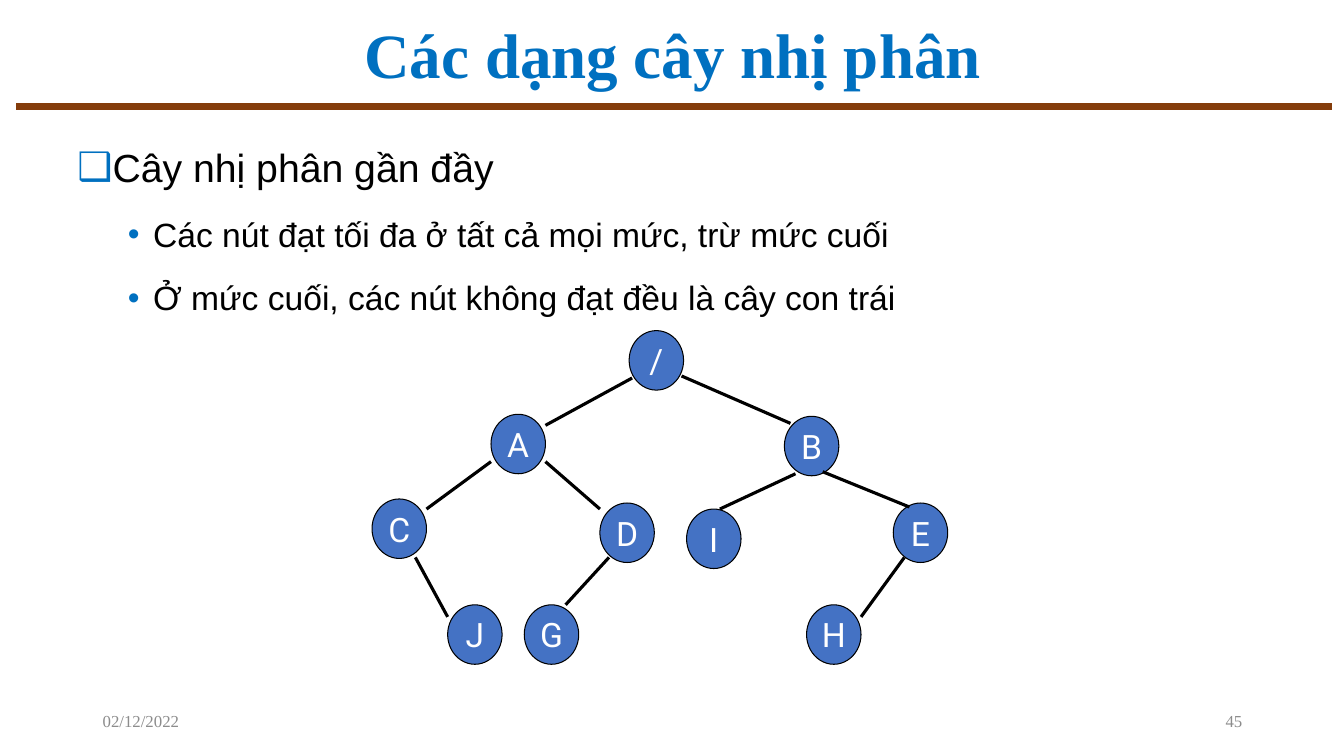
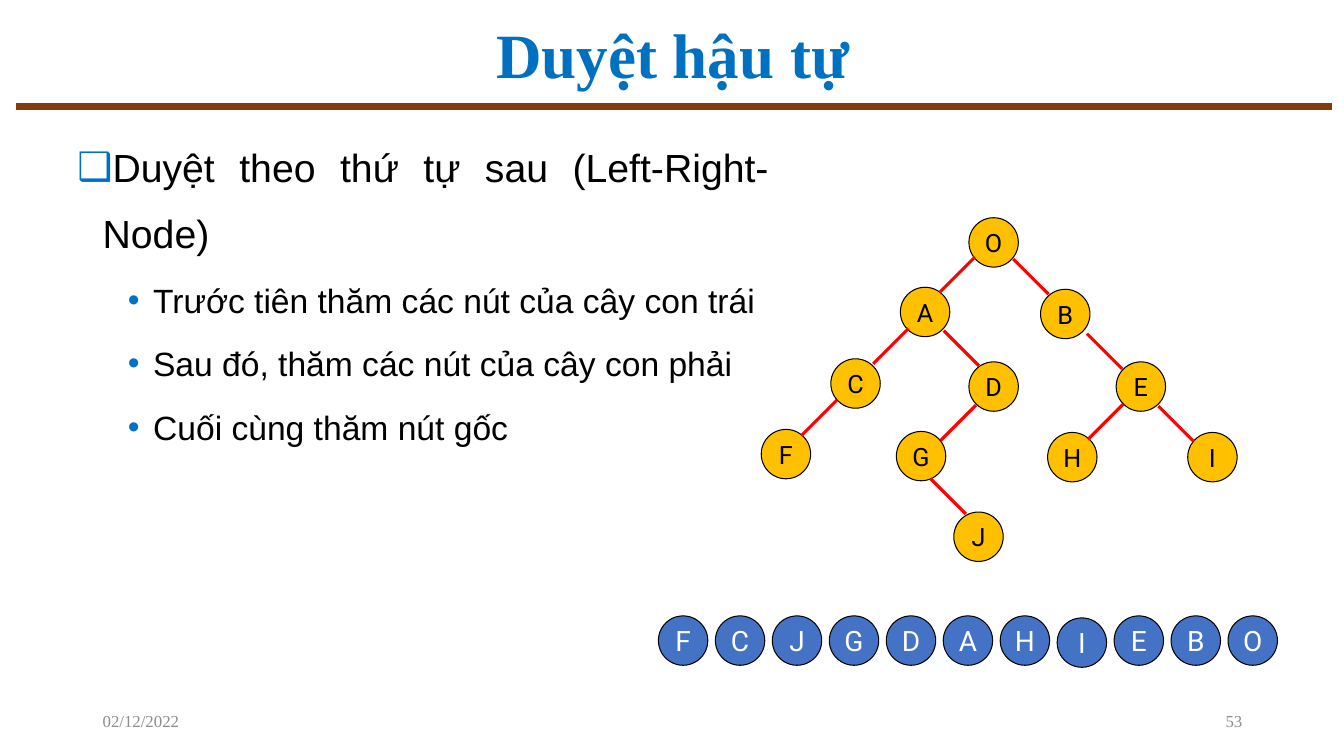
from lxml.etree import SubElement
from pptx import Presentation
from pptx.dml.color import RGBColor
from pptx.enum.shapes import MSO_CONNECTOR as CONN, MSO_SHAPE as SHAPE
from pptx.enum.text import MSO_ANCHOR as ANCHOR, PP_ALIGN as ALIGN
from pptx.oxml.ns import qn
from pptx.util import Inches, Pt

COLORS = {
    "title": "0070C0", "rule": "843C0B", "footer": "8C8C8C", "node": "4472C4",
    "gold": "FFC000", "edge": "FF0000", "black": "000000", "white": "FFFFFF",
}
SERIF, SANS, NODE_FONT = "Times New Roman", "Arial", "Roboto"


def rgb(name):
    return RGBColor.from_string(COLORS[name])


def write(p, text, size, font=SANS, color="black", bold=False, align=ALIGN.LEFT):
    p.alignment = align
    r = p.add_run()
    r.text = text
    r.font.size = Pt(size)
    r.font.name = font
    r.font.bold = bold
    r.font.color.rgb = rgb(color)


def set_bullet(p, char, margin):
    pPr = p._p.get_or_add_pPr()
    pPr.set("marL", str(Inches(margin)))
    pPr.set("indent", str(Inches(-0.25)))
    clr = SubElement(pPr, qn("a:buClr"))
    SubElement(clr, qn("a:srgbClr"), val=COLORS["title"])
    SubElement(pPr, qn("a:buFont"), typeface=SANS)
    SubElement(pPr, qn("a:buChar"), char=char)


class Deck:
    def __init__(self):
        self.prs = Presentation()
        self.prs.slide_width = Inches(13.33)
        self.prs.slide_height = Inches(7.5)
        self.s = None

    def new_slide(self, title, number):
        self.s = self.prs.slides.add_slide(self.prs.slide_layouts[6])
        self.line(0.16, 1.06, 13.21, 1.06, "rule", 5)
        p = self.box(0.92, 0.17, 11.5, 0.81, ANCHOR.MIDDLE).paragraphs[0]
        p.line_spacing = 0.9
        write(p, title, 45, SERIF, "title", True, ALIGN.CENTER)
        for x, text, align in ((9.42, number, ALIGN.RIGHT),
                               (0.92, "02/12/2022", ALIGN.LEFT)):
            p = self.box(x, 6.95, 3, 0.4, ANCHOR.MIDDLE).paragraphs[0]
            write(p, text, 12, SERIF, "footer", align=align)

    def box(self, x, y, w, h, anchor=ANCHOR.TOP):
        sp = self.s.shapes.add_textbox(Inches(x), Inches(y), Inches(w), Inches(h))
        tf = sp.text_frame
        tf.word_wrap = True
        tf.vertical_anchor = anchor
        return tf

    def body(self, width, heading, points):
        tf = self.box(0.67, 1.19, width, 5.91)
        p = tf.paragraphs[0]
        p.line_spacing = 1.4
        set_bullet(p, "❑", 0.25)
        write(p, heading, 28, align=ALIGN.JUSTIFY)
        for point in points:
            p = tf.add_paragraph()
            p.level = 1
            p.line_spacing = 1.4
            p.space_before = Pt(5)
            set_bullet(p, "•", 0.75)
            write(p, point, 24, align=ALIGN.JUSTIFY)

    def node(self, text, x, y, w=0.49, h=0.49, fill="node", color="white", size=20):
        sp = self.s.shapes.add_shape(SHAPE.OVAL, Inches(x), Inches(y),
                                     Inches(w), Inches(h))
        sp.shadow.inherit = False
        sp.fill.solid()
        sp.fill.fore_color.rgb = rgb(fill)
        sp.line.color.rgb = rgb("black")
        sp.line.width = Pt(0.75)
        tf = sp.text_frame
        tf.word_wrap = False
        tf.vertical_anchor = ANCHOR.MIDDLE
        write(tf.paragraphs[0], text, size, NODE_FONT, color, align=ALIGN.CENTER)

    def line(self, x1, y1, x2, y2, color="black", width=2.25):
        c = self.s.shapes.add_connector(CONN.STRAIGHT, Inches(x1), Inches(y1),
                                        Inches(x2), Inches(y2))
        c.line.color.rgb = rgb(color)
        c.line.width = Pt(width)
        SubElement(c._element.spPr, qn("a:effectLst"))


def almost_full_tree(deck):
    deck.new_slide("Các dạng cây nhị phân", "45")
    deck.body(11.75, "Cây nhị phân gần đầy", [
        "Các nút đạt tối đa ở tất cả mọi mức, trừ mức cuối",
        "Ở mức cuối, các nút không đạt đều là cây con trái",
    ])
    # Tree nodes
    for text, x, y in [
        ("/", 6.24, 3.28), ("A", 4.87, 4.11), ("B", 7.78, 4.13),
        ("C", 3.69, 4.95), ("D", 5.95, 4.99), ("I", 6.81, 5.05),
        ("E", 8.86, 4.99), ("J", 4.44, 6), ("G", 5.2, 6), ("H", 8, 6),
    ]:
        deck.node(text, x, y, 0.54, 0.59, size=24)
    # Branches, parent to child
    for ends in [
        (6.27, 3.75, 5.41, 4.22), (6.76, 3.73, 7.84, 4.2),
        (4.87, 4.58, 4.23, 5.05), (5.41, 4.58, 5.95, 5.05),
        (7.89, 4.7, 7.14, 5.05), (8.16, 4.68, 9.02, 5.03),
        (4.12, 5.53, 4.44, 6.12), (6.04, 5.53, 5.61, 6),
        (8.97, 5.53, 8.54, 6.12),
    ]:
        deck.line(*ends)


def postorder(deck):
    deck.new_slide("Duyệt hậu tự", "53")
    deck.body(7.05, "Duyệt theo thứ tự sau (Left-Right-Node)", [
        "Trước tiên thăm các nút của cây con trái",
        "Sau đó, thăm các nút của cây con phải",
        "Cuối cùng thăm nút gốc",
    ])
    # Tree nodes
    for text, x, y in [
        ("O", 9.61, 2.16), ("A", 8.93, 2.85), ("B", 10.32, 2.87),
        ("C", 8.24, 3.56), ("D", 9.61, 3.59), ("E", 11.07, 3.59),
        ("F", 7.55, 4.26), ("G", 8.89, 4.28), ("H", 10.39, 4.29),
        ("I", 11.78, 4.29), ("J", 9.46, 5.08),
    ]:
        deck.node(text, x, y, fill="gold", color="black", size=18)
    # Branches: same diagonal step, to the left or to the right
    step = 0.35
    left = [(9.67, 2.55), (9.01, 3.26), (8.3, 3.97), (9.68, 4.02), (11.14, 4.01)]
    right = [(10.05, 2.57), (10.78, 3.31), (11.49, 4.03), (9.23, 4.75), (9.36, 3.28)]
    for starts, dx in ((left, -step), (right, step)):
        for x, y in starts:
            deck.line(x, y, x + dx, y + step, "edge")
    # Visiting order
    pitch = (12.18 - 6.53) / 10
    for i, text in enumerate("FCJGDAHIEBO"):
        deck.node(text, 6.53 + i * pitch, 6.13 if text == "I" else 6.11)


def main():
    deck = Deck()
    almost_full_tree(deck)
    postorder(deck)
    deck.prs.save("out.pptx")


if __name__ == "__main__":
    main()
